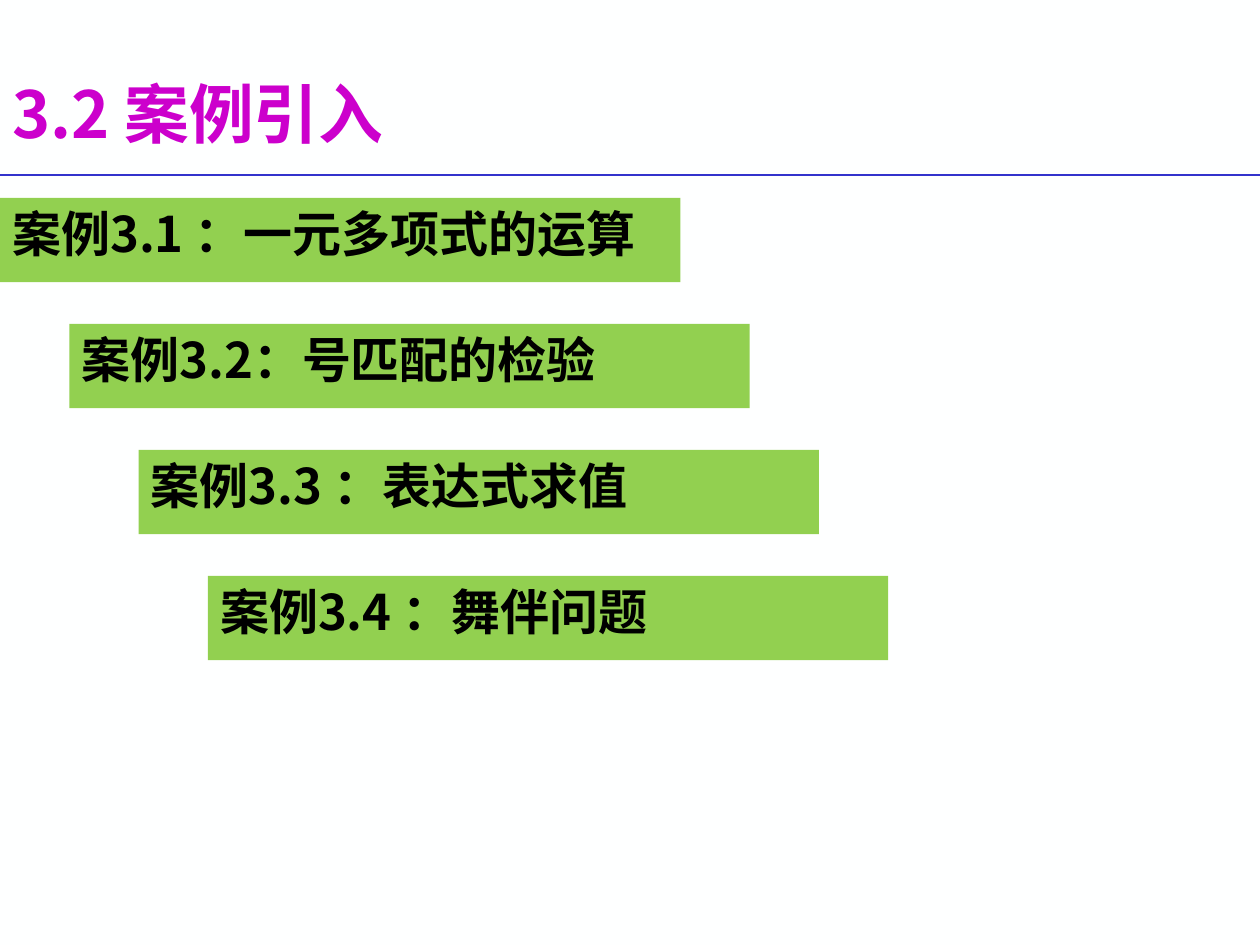
"""Build the section opener that lists the four case studies of chapter 3."""
from lxml.etree import SubElement
from pptx import Presentation
from pptx.dml.color import RGBColor
from pptx.enum.shapes import MSO_CONNECTOR, MSO_SHAPE
from pptx.enum.text import MSO_ANCHOR, PP_ALIGN
from pptx.oxml.ns import qn
from pptx.util import Inches, Pt

TITLE = "3.2 案例引入"
CASES = [
    "案例3.1 ：一元多项式的运算",
    "案例3.2：号匹配的检验",
    "案例3.3 ：表达式求值",
    "案例3.4 ：舞伴问题",
]

FONT = "Noto Sans CJK SC"
BACKGROUND = RGBColor(0xFE, 0xFF, 0xFF)
MAGENTA = RGBColor(0xCC, 0x00, 0xCC)
BLUE = RGBColor(0x33, 0x33, 0xCC)
GREEN = RGBColor(0x92, 0xD0, 0x50)
BLACK = RGBColor(0, 0, 0)

WIDTH, HEIGHT = 10, 7.5
RULE_TOP = 1.39
CASE_WIDTH, CASE_HEIGHT = 5.4, 0.67
CASES_TOP = 1.57
STEP_RIGHT, STEP_DOWN = 0.55, 1


def write(shape, text, size, color, anchor=MSO_ANCHOR.TOP, line_spacing=1.0):
    frame = shape.text_frame
    frame.word_wrap = True
    frame.vertical_anchor = anchor
    paragraph = frame.paragraphs[0]
    paragraph.alignment = PP_ALIGN.LEFT
    paragraph.line_spacing = line_spacing
    span = paragraph.add_run()
    span.text = text
    span.font.name = FONT
    span.font.size = Pt(size)
    span.font.bold = True
    span.font.color.rgb = color
    SubElement(span.font._element, qn("a:ea"), typeface=FONT)


def add_title(page):
    box = page.shapes.add_textbox(0, Inches(0.56), Inches(7.41), Inches(0.75))
    write(box, TITLE, 37, MAGENTA, anchor=MSO_ANCHOR.MIDDLE, line_spacing=0.9)


def add_rule(page):
    rule = page.shapes.add_connector(
        MSO_CONNECTOR.STRAIGHT, 0, Inches(RULE_TOP), Inches(WIDTH), Inches(RULE_TOP)
    )
    rule.line.color.rgb = BLUE
    rule.line.width = Pt(1)
    SubElement(rule._element.spPr, qn("a:effectLst"))


def add_case(page, index, text):
    bar = page.shapes.add_shape(
        MSO_SHAPE.RECTANGLE,
        Inches(index * STEP_RIGHT),
        Inches(CASES_TOP + index * STEP_DOWN),
        Inches(CASE_WIDTH),
        Inches(CASE_HEIGHT),
    )
    bar.shadow.inherit = False
    bar.fill.solid()
    bar.fill.fore_color.rgb = GREEN
    bar.line.fill.background()
    write(bar, text, 28, BLACK)


def main():
    deck = Presentation()
    deck.slide_width, deck.slide_height = Inches(WIDTH), Inches(HEIGHT)
    page = deck.slides.add_slide(deck.slide_layouts[6])
    page.background.fill.solid()
    page.background.fill.fore_color.rgb = BACKGROUND
    add_title(page)
    add_rule(page)
    for index, text in enumerate(CASES):
        add_case(page, index, text)
    deck.save("out.pptx")


if __name__ == "__main__":
    main()
